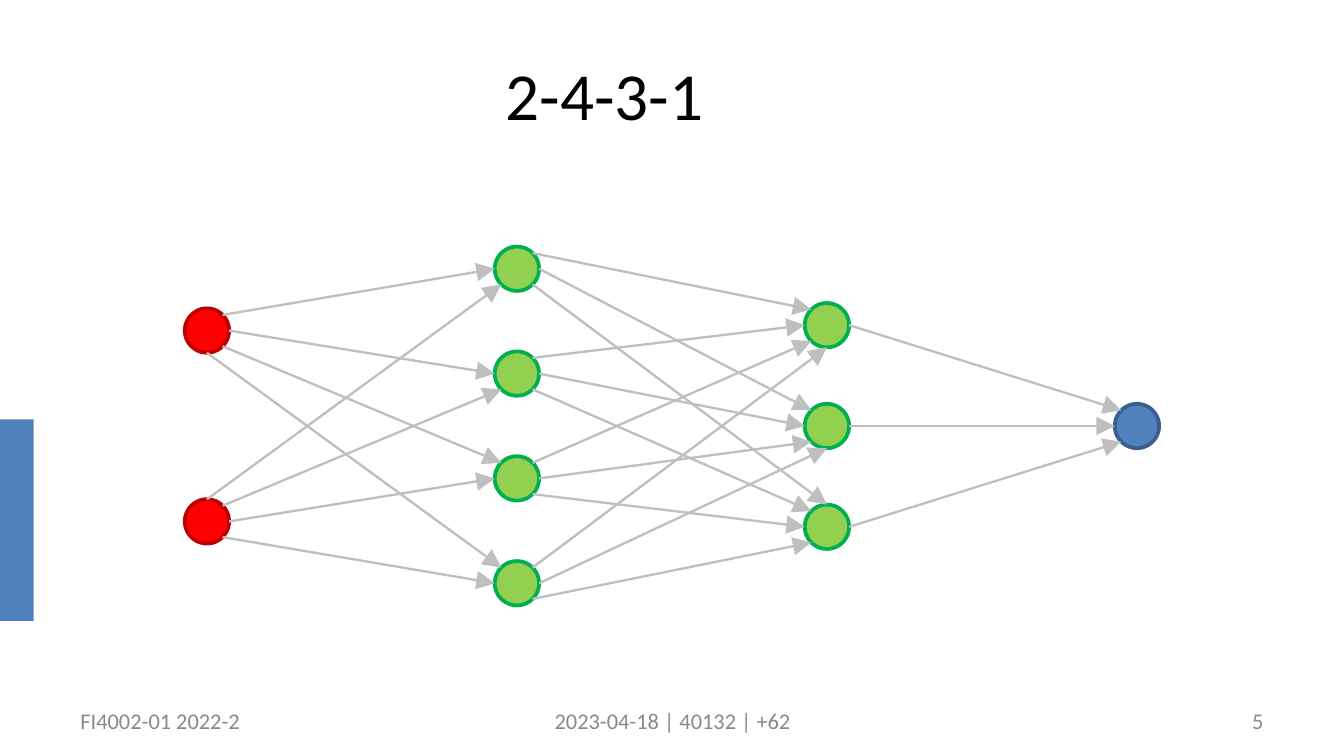
from math import sqrt

from lxml.etree import SubElement
from pptx import Presentation
from pptx.dml.color import RGBColor
from pptx.enum.shapes import MSO_CONNECTOR as Connector, MSO_SHAPE as Shape
from pptx.enum.text import MSO_ANCHOR as Anchor, PP_ALIGN as Align
from pptx.oxml.ns import qn
from pptx.util import Inches, Pt

BLACK = RGBColor(0x00, 0x00, 0x00)
GREY = RGBColor(0x89, 0x89, 0x89)
NUMBER_GREY = RGBColor(0x8C, 0x8C, 0x8C)
LINK_GREY = RGBColor(0xBF, 0xBF, 0xBF)
BLUE = RGBColor(0x4F, 0x81, 0xBD)
DARK_BLUE = RGBColor(0x3A, 0x5F, 0x8C)
GREEN = RGBColor(0x92, 0xD0, 0x50)
DARK_GREEN = RGBColor(0x00, 0xB0, 0x50)
RED = RGBColor(0xFF, 0x00, 0x00)
DARK_RED = RGBColor(0xC0, 0x00, 0x00)

# Network geometry, in inches
DIAMETER = 0.33
FIRST_X, LAST_X, MIDDLE_Y = 1.54, 8.46, 3.17

# Neurons, vertical gap, fill and outline of each layer
LAYERS = [
    (2, 1.42, RED, DARK_RED),
    (4, 0.78, GREEN, DARK_GREEN),
    (3, 0.75, GREEN, DARK_GREEN),
    (1, 0, BLUE, DARK_BLUE),
]

# Directions from a neuron's centre to the points where links attach
DIAGONAL = sqrt(0.5)
SITES = {
    "T": (0, -1), "B": (0, 1), "L": (-1, 0), "R": (1, 0),
    "TL": (-DIAGONAL, -DIAGONAL), "TR": (DIAGONAL, -DIAGONAL),
    "BL": (-DIAGONAL, DIAGONAL), "BR": (DIAGONAL, DIAGONAL),
}

# For each pair of layers: one row per source, one "from-to" entry per target
LINKS = [
    ["TR-L R-L BR-TL B-TL", "T-BL TR-BL R-L BR-L"],
    ["TR-TL R-TL BR-T", "TR-L R-L BR-TL", "TR-BL R-BL BR-L", "TR-B R-B BR-BL"],
    ["R-TL", "R-L", "R-BL"],
]


class SlideBuilder:
    font = "Calibri"

    def __init__(self, page):
        self.page = page

    def text(self, words, left, top, width, height, size, color, align):
        box = self.page.shapes.add_textbox(
            Inches(left), Inches(top), Inches(width), Inches(height))
        frame = box.text_frame
        frame.word_wrap = True
        frame.vertical_anchor = Anchor.MIDDLE
        para = frame.paragraphs[0]
        para.text = words
        para.alignment = align
        para.font.name = self.font
        para.font.size = Pt(size)
        para.font.color.rgb = color

    def shape(self, kind, left, top, width, height, fill, outline=None):
        shape = self.page.shapes.add_shape(
            kind, Inches(left), Inches(top), Inches(width), Inches(height))
        shape.shadow.inherit = False
        shape.fill.solid()
        shape.fill.fore_color.rgb = fill
        if outline is None:
            shape.line.fill.background()
        else:
            shape.line.color.rgb = outline
            shape.line.width = Pt(2)

    def neuron(self, center, fill, outline):
        x, y = center
        self.shape(Shape.OVAL, x - DIAMETER / 2, y - DIAMETER / 2,
                   DIAMETER, DIAMETER, fill, outline)

    def arrow(self, start, end):
        link = self.page.shapes.add_connector(
            Connector.STRAIGHT, *(Inches(value) for value in (*start, *end)))
        link.line.color.rgb = LINK_GREY
        link.line.width = Pt(1.25)
        properties = link._element.spPr
        SubElement(properties.find(qn("a:ln")), qn("a:tailEnd"),
                   type="triangle", w="lg", len="lg")
        SubElement(properties, qn("a:effectLst"))


def site_point(center, site):
    return tuple(c + d * DIAMETER / 2 for c, d in zip(center, SITES[site]))


def layer_centers(index):
    count, gap = LAYERS[index][:2]
    x = FIRST_X + index * (LAST_X - FIRST_X) / (len(LAYERS) - 1)
    return [(x, MIDDLE_Y + (row - (count - 1) / 2) * gap) for row in range(count)]


def main():
    # A 16:9 page
    deck = Presentation()
    deck.slide_width, deck.slide_height = Inches(10), Inches(10 * 9 / 16)
    builder = SlideBuilder(deck.slides.add_slide(deck.slide_layouts[6]))

    # Side bar, footer and title
    builder.shape(Shape.RECTANGLE, 0, 3.12, 0.25, 1.5, BLUE)
    builder.text("FI4002-01 2022-2", 0.5, 5.21, 2.58, 0.3, 12, GREY, Align.LEFT)
    builder.text("2023-04-18 | 40132 | +62", 3.42, 5.21, 3.17, 0.3, 12, GREY,
                 Align.CENTER)
    builder.text("5", 7.17, 5.21, 2.33, 0.3, 12, NUMBER_GREY, Align.RIGHT)
    builder.text("2-4-3-1", 0, 0.23, 9, 0.94, 36, BLACK, Align.CENTER)

    # Neurons
    centers = [layer_centers(index) for index in range(len(LAYERS))]
    for layer, (_, _, fill, outline) in zip(centers, LAYERS):
        for center in layer:
            builder.neuron(center, fill, outline)

    # Links between neighbouring layers
    for sources, targets, rows in zip(centers, centers[1:], LINKS):
        for source, row in zip(sources, rows):
            for target, entry in zip(targets, row.split()):
                leave, arrive = entry.split("-")
                builder.arrow(site_point(source, leave), site_point(target, arrive))

    deck.save("out.pptx")


if __name__ == "__main__":
    main()
